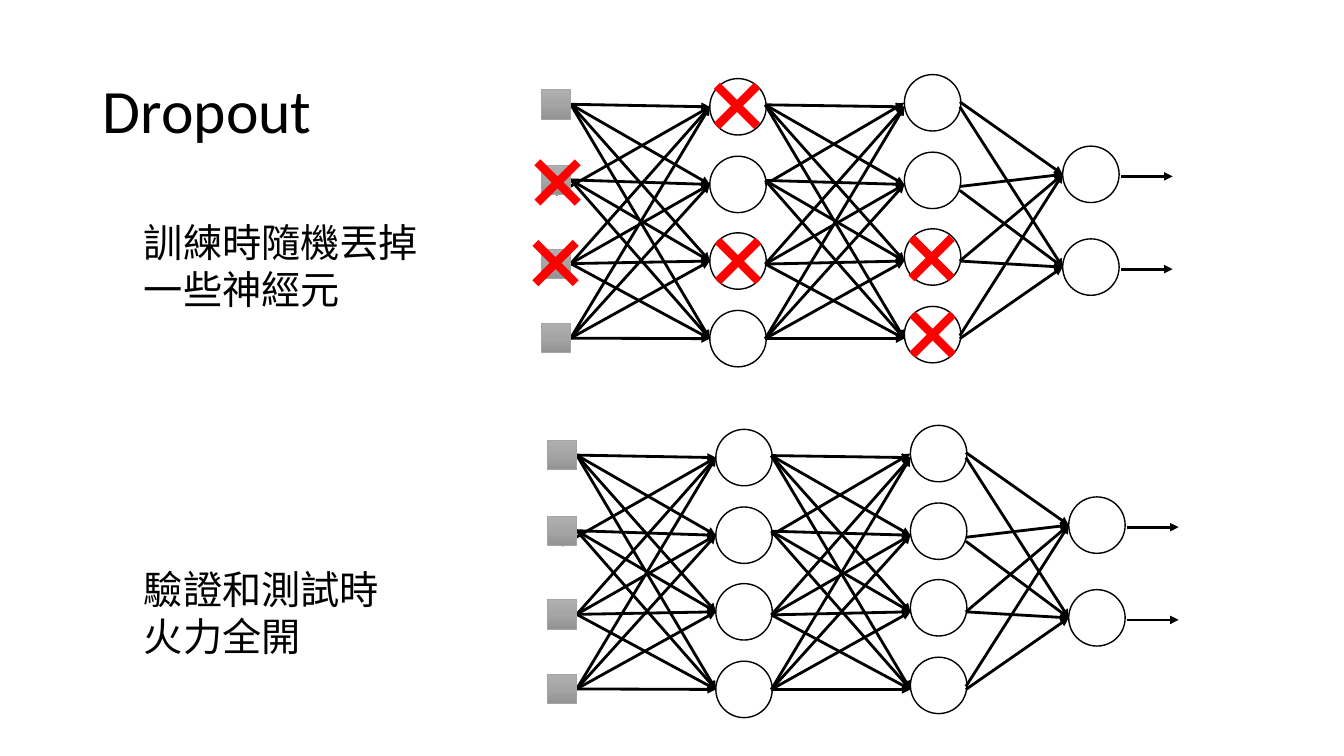
"""Build the Dropout slide: a network with dropped neurons above the full one."""
import copy

import pptx
import pptx.dml.color
import pptx.enum.shapes
import pptx.enum.text
import pptx.oxml.ns
import pptx.oxml.xmlchemy
import pptx.util

PX = 9144
SHAPE = pptx.enum.shapes.MSO_SHAPE
TEXT = pptx.enum.text
qn = pptx.oxml.ns.qn
make = pptx.oxml.xmlchemy.OxmlElement


def tint(code):
    return pptx.dml.color.RGBColor.from_string(code)


def wire(home, ends, code="000000", width=2, arrow=True):
    line = home.add_connector(
        pptx.enum.shapes.MSO_CONNECTOR.STRAIGHT, *[n * PX for n in ends])
    line.line.color.rgb = tint(code)
    line.line.width = pptx.util.Pt(width)
    props = line._element.spPr
    if arrow:
        tail = make("a:tailEnd")
        tail.set("type", "triangle")
        props.find(qn("a:ln")).append(tail)
    props.append(make("a:effectLst"))
    return line


deck = pptx.Presentation()
deck.slide_width, deck.slide_height = 1333 * PX, 750 * PX
slide = deck.slides.add_slide(deck.slide_layouts[5])

title = slide.shapes.title
title.left, title.top, title.width, title.height = 92 * PX, 40 * PX, 1150 * PX, 145 * PX
title.text_frame.text = "Dropout"
title.text_frame.vertical_anchor = TEXT.MSO_ANCHOR.MIDDLE
head = title.text_frame.paragraphs[0]
head.alignment = TEXT.PP_ALIGN.LEFT
head.line_spacing = 0.9
head.font.name = "Calibri"
head.font.size = pptx.util.Pt(44)
head.font.color.rgb = tint("000000")

ports = [104, 179, 262, 336]
goals = [106, 183, 259, 336]
rings = [(704, y) for y in (78, 155, 231, 308)]
rings += [(897, y) for y in (74, 151, 227, 304)]
rings += [(1054, y) for y in (145, 237)]
joins = [(185, 173), (101, 173), (106, 265), (189, 265),
         (259, 173), (259, 265), (333, 173), (336, 265)]

for dx, dy in [(0, 0), (6, 348)]:
    net = slide.shapes.add_group_shape()
    home = net.shapes

    for x, y in rings:
        ring = home.add_shape(
            SHAPE.OVAL, (x + dx) * PX, (y + dy) * PX, 56 * PX, 56 * PX)
        ring.shadow.inherit = False
        ring.fill.background()
        ring.line.color.rgb = tint("000000")
        ring.line.width = pptx.util.Pt(1)

    boxes = []
    for y in (89, 164, 247, 321):
        box = home.add_shape(
            SHAPE.RECTANGLE, (537 + dx) * PX, (y + dy) * PX, 29 * PX, 29 * PX)
        box.shadow.inherit = False
        box.fill.gradient()
        box.fill.gradient_angle = 270
        stops = box._element.spPr.find(qn("a:gradFill")).find(qn("a:gsLst"))
        stops.insert(1, copy.deepcopy(stops[0]))
        shades = [(0, "AFAFAF"), (0.5, "A5A5A5"), (1, "939393")]
        for stop, (spot, code) in zip(box.fill.gradient_stops, shades):
            stop.position = spot
            stop.color.rgb = tint(code)
        box.line.color.rgb = tint("A5A5A5")
        box.line.width = pptx.util.Pt(0.5)
        boxes.append(box)

    for i, port in enumerate(ports):
        for j, goal in enumerate(goals):
            line = wire(home, (566 + dx, port + dy, 704 + dx, goal + dy))
            line.begin_connect(boxes[i], 2 if (i, j) == (1, 0) else 3)
            ends = (759, 183, 897, 102) if (i, j) == (1, 0) else (759, port, 897, goal)
            wire(home, (ends[0] + dx, ends[1] + dy, ends[2] + dx, ends[3] + dy))
    for start, end in joins:
        wire(home, (952 + dx, start + dy, 1054 + dx, end + dy))
    for y in (175, 267):
        wire(home, (1112 + dx, y + dy, 1163 + dx, y + dy))
    for box in boxes:
        net._element.append(box._element)

for x, y in [(731, 105), (732, 259), (924, 256), (925, 332), (551, 261), (553, 181)]:
    cross = slide.shapes.add_group_shape().shapes
    for lean in (20, -20):
        wire(cross, (x - lean, y - 20, x + lean, y + 20), "FF0000", 6, False)

for y, words in [(212, "訓練時隨機丟掉一些神經元"), (556, "驗證和測試時\n火力全開")]:
    note = slide.shapes.add_textbox(133 * PX, y * PX, 306 * PX, 104 * PX).text_frame
    note.word_wrap = True
    note.auto_size = TEXT.MSO_AUTO_SIZE.SHAPE_TO_FIT_TEXT
    note.text = words
    for para in note.paragraphs:
        para.font.name = "Noto Sans CJK SC"
        para.font.size = pptx.util.Pt(28)
        para.font.color.rgb = tint("000000")
        east = make("a:ea")
        east.set("typeface", "Noto Sans CJK SC")
        para._p.pPr.find(qn("a:defRPr")).append(east)

deck.save("out.pptx")
